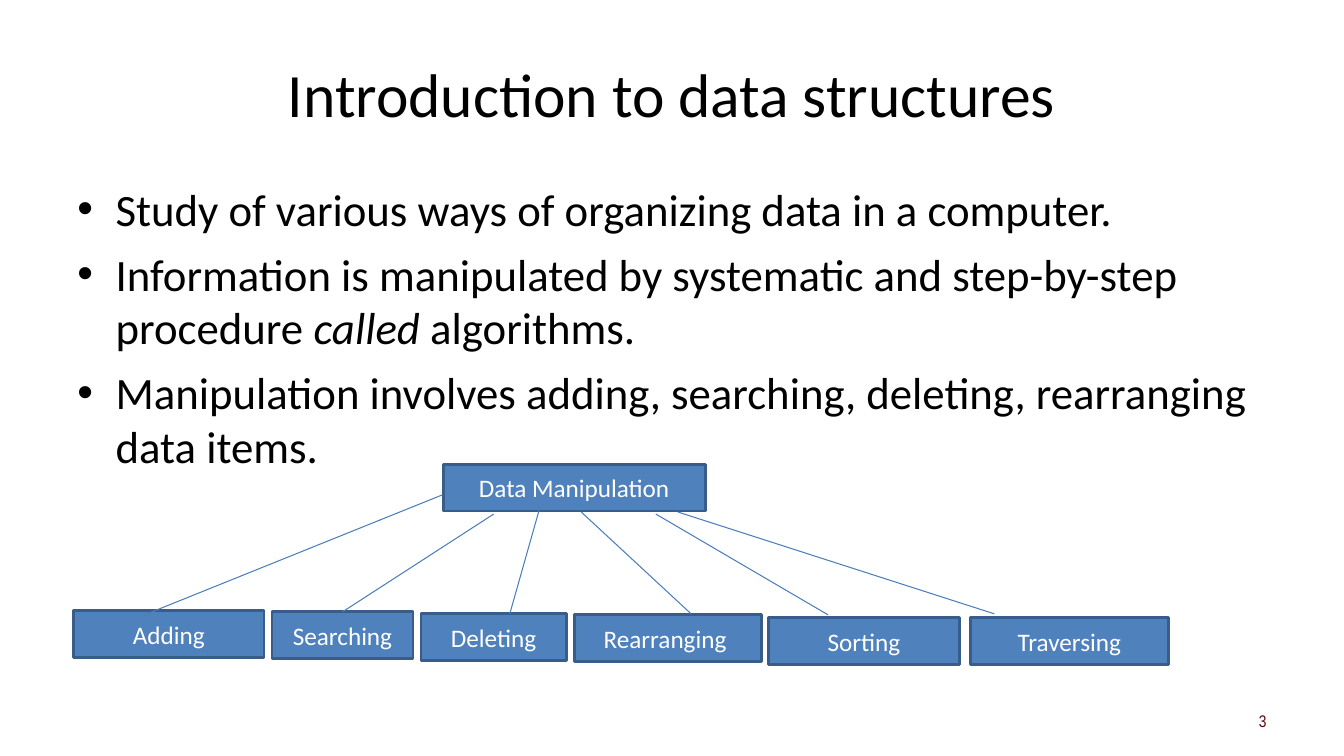
from dataclasses import dataclass

from lxml import etree
from pptx import Presentation
from pptx.dml.color import RGBColor
from pptx.enum.shapes import MSO_CONNECTOR, MSO_SHAPE
from pptx.enum.text import MSO_ANCHOR, PP_ALIGN
from pptx.oxml.ns import qn
from pptx.util import Inches, Pt

LEFT, CENTER, RIGHT = PP_ALIGN.LEFT, PP_ALIGN.CENTER, PP_ALIGN.RIGHT
TOP, MIDDLE = MSO_ANCHOR.TOP, MSO_ANCHOR.MIDDLE
RECTANGLE, STRAIGHT = MSO_SHAPE.RECTANGLE, MSO_CONNECTOR.STRAIGHT
TOP_SIDE = 0

TITLE = "Introduction to data structures"
# Each bullet is a list of (text, italic) runs.
BULLETS = [
    [("Study of various ways of organizing data in a computer.", False)],
    [("Information is manipulated by systematic and step-by-step procedure ", False),
     ("called", True), (" algorithms.", False)],
    [("Manipulation involves adding, searching, deleting, rearranging data items.", False)],
]
PAGE_NUMBER = "3"
ROOT = ("Data Manipulation", 4.4, 4.61, 2.6)
# Operation, left, top, width, branch start, branch end (None: middle of the top side)
OPERATIONS = [
    ("Adding", 0.73, 6.06, 1.89, (4.39, 4.91), (1.41, 6.11)),
    ("Searching", 2.7, 6.07, 1.4, (4.9, 5.1), None),
    ("Deleting", 4.18, 6.09, 1.44, (5.36, 5.03), (5.06, 6.09)),
    ("Rearranging ", 5.7, 6.1, 1.86, (5.77, 5.08), (6.86, 6.09)),
    ("Sorting", 7.63, 6.13, 1.89, (6.51, 5.1), (8.22, 6.1)),
    ("Traversing", 9.63, 6.13, 1.97, (6.73, 5.08), (9.87, 6.09)),
]
BOX_HEIGHT = 0.46


@dataclass(frozen=True)
class Theme:
    font: str = "Calibri"
    number_font: str = "Arial Narrow"
    text: str = "000000"
    number: str = "5C0708"
    box_fill: str = "4F81BD"
    box_line: str = "385D8A"
    box_text: str = "FFFFFF"
    branch: str = "4A7EBB"
    title_size: int = 44
    body_size: int = 32
    box_size: int = 18
    number_size: int = 12


THEME = Theme()


def style(paragraph, size, color, align, font=THEME.font):
    paragraph.alignment = align
    paragraph.font.name = font
    paragraph.font.size = Pt(size)
    paragraph.font.color.rgb = RGBColor.from_string(color)


def add_text_area(slide, left, top, width, height, anchor):
    box = slide.shapes.add_textbox(*map(Inches, (left, top, width, height)))
    frame = box.text_frame
    frame.word_wrap = True
    frame.vertical_anchor = anchor
    return frame


def add_bullets(slide):
    frame = add_text_area(slide, 0.67, 1.75, 12, 4.95, TOP)
    for index, runs in enumerate(BULLETS):
        paragraph = frame.add_paragraph() if index else frame.paragraphs[0]
        style(paragraph, THEME.body_size, THEME.text, LEFT)
        paragraph.space_before = Pt(8)
        for text, italic in runs:
            run = paragraph.add_run()
            run.text = text
            if italic:
                run.font.italic = True
        properties = paragraph._p.get_or_add_pPr()
        properties.set("marL", str(Inches(0.38)))
        properties.set("indent", str(-Inches(0.38)))
        bullet_font = etree.Element(qn("a:buFont"), typeface="Arial")
        bullet = etree.Element(qn("a:buChar"), char="•")
        position = list(properties).index(properties.find(qn("a:defRPr")))
        properties[position:position] = [bullet_font, bullet]


def add_box(slide, label, left, top, width):
    box = slide.shapes.add_shape(
        RECTANGLE, *map(Inches, (left, top, width, BOX_HEIGHT)))
    box.shadow.inherit = False
    box.fill.solid()
    box.fill.fore_color.rgb = RGBColor.from_string(THEME.box_fill)
    box.line.color.rgb = RGBColor.from_string(THEME.box_line)
    box.line.width = Pt(2)
    frame = box.text_frame
    frame.vertical_anchor = MIDDLE
    frame.text = label
    style(frame.paragraphs[0], THEME.box_size, THEME.box_text, CENTER)
    return box


def add_branch(slide, start, end, box):
    """Draw a branch to a point, or join it to the box's top when end is None."""
    branch = slide.shapes.add_connector(
        STRAIGHT, *map(Inches, start + (end or start)))
    if end is None:
        branch.end_connect(box, TOP_SIDE)
    branch.line.color.rgb = RGBColor.from_string(THEME.branch)
    branch.line.width = Pt(0.75)
    etree.SubElement(branch._element.spPr, qn("a:effectLst"))


def main():
    deck = Presentation()
    deck.slide_width, deck.slide_height = Inches(13.34), Inches(7.5)
    slide = deck.slides.add_slide(deck.slide_layouts[6])

    title = add_text_area(slide, 0.67, 0.3, 12, 1.25, MIDDLE)
    title.text = TITLE
    style(title.paragraphs[0], THEME.title_size, THEME.text, CENTER)
    add_bullets(slide)
    number = add_text_area(slide, 9.56, 6.95, 3.11, 0.4, MIDDLE)
    number.text = PAGE_NUMBER
    style(number.paragraphs[0], THEME.number_size, THEME.number, RIGHT,
          THEME.number_font)

    add_box(slide, *ROOT)
    boxes = [add_box(slide, *operation[:4]) for operation in OPERATIONS]
    for box, (*_, start, end) in zip(boxes, OPERATIONS):
        add_branch(slide, start, end, box)

    deck.save("out.pptx")


if __name__ == "__main__":
    main()
